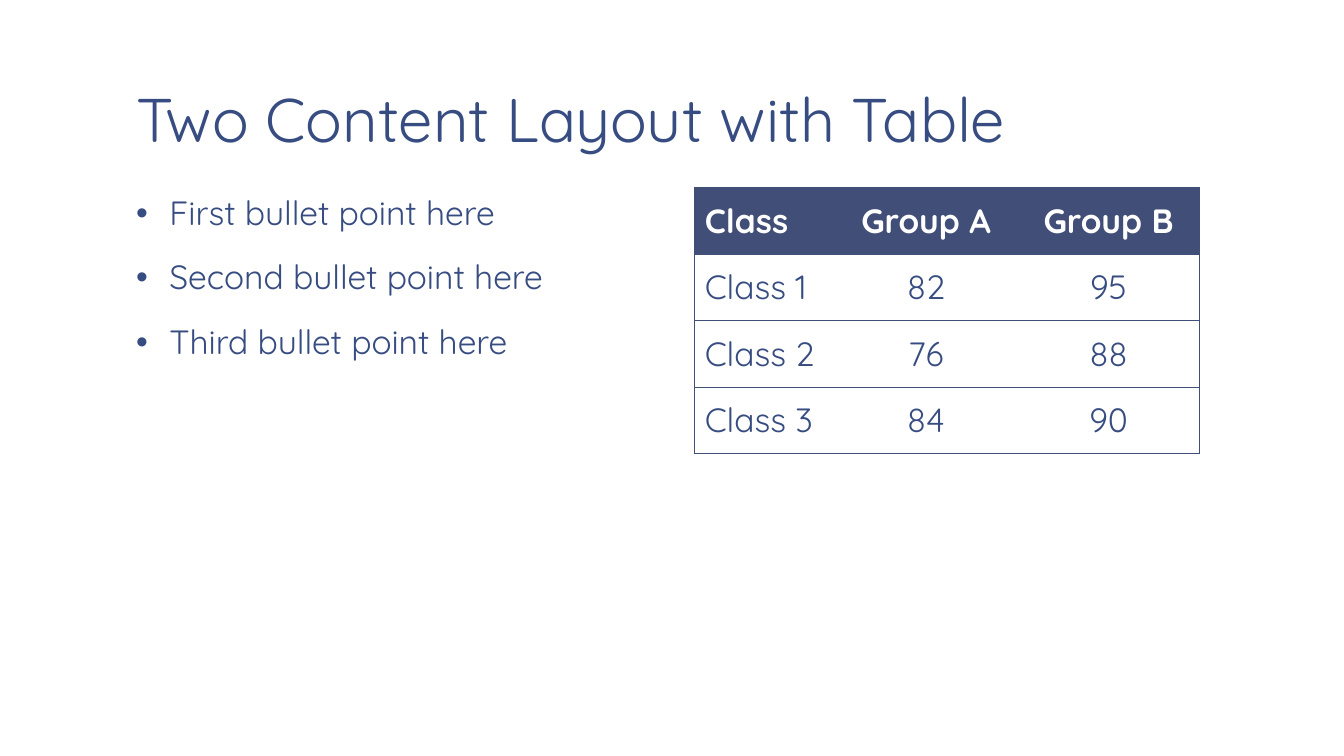
from lxml import etree
from pptx import Presentation
from pptx.dml.color import RGBColor
from pptx.enum.text import MSO_ANCHOR, PP_ALIGN
from pptx.oxml.ns import qn
from pptx.util import Pt

TOP, MIDDLE, BOTTOM = MSO_ANCHOR.TOP, MSO_ANCHOR.MIDDLE, MSO_ANCHOR.BOTTOM
LEFT, CENTER = PP_ALIGN.LEFT, PP_ALIGN.CENTER
EMU_PER_PX = 9144
FONT = "Quicksand"
INK, HEADER, WHITE = "374C81", "414E77", "FFFFFF"


def px(length):
    """Turn px into EMU."""
    return length * EMU_PER_PX


def color(value):
    """Turn a hex string into a colour."""
    return RGBColor.from_string(value)


class SlideBuilder:
    """Holds the style and the current slide."""

    def __init__(self, presentation):
        """Add a blank white slide."""
        self.slide = presentation.slides.add_slide(presentation.slide_layouts[6])
        self.slide.background.fill.solid()
        self.slide.background.fill.fore_color.rgb = color(WHITE)

    def style(self, paragraph, size, ink=INK, bold=False):
        """Set the font of a paragraph."""
        font = paragraph.font
        font.name, font.size, font.bold = FONT, Pt(size), bold
        font.color.rgb = color(ink)

    def text(self, box, lines, size, line_spacing, anchor=TOP):
        """Add a text box and return its paragraphs."""
        frame = self.slide.shapes.add_textbox(*map(px, box)).text_frame
        frame.word_wrap = True
        frame.vertical_anchor = anchor
        frame.margin_left = frame.margin_right = px(13)
        frame.margin_top = frame.margin_bottom = px(7)
        frame.text = "\n".join(lines)
        for paragraph in frame.paragraphs:
            paragraph.line_spacing = line_spacing
            self.style(paragraph, size)
        return frame.paragraphs

    def bullets(self, box, lines, size):
        """Add a bulleted list."""
        for paragraph in self.text(box, lines, size, 0.95):
            paragraph.space_before = Pt(18.7)
            properties = paragraph._p.get_or_add_pPr()
            properties.set("marL", str(px(33)))
            properties.set("indent", str(px(-33)))
            font = etree.Element(qn("a:buFont"), typeface="Arial")
            bullet = etree.Element(qn("a:buChar"), char="•")
            position = properties.index(properties.find(qn("a:defRPr")))
            properties[position:position] = [font, bullet]

    def border(self, cell, side, visible):
        """Draw or hide one side of a cell."""
        line = etree.SubElement(cell._tc.get_or_add_tcPr(), qn(f"a:ln{side}"), w=str(Pt(0.5)))
        if visible:
            fill = etree.SubElement(line, qn("a:solidFill"))
            etree.SubElement(fill, qn("a:srgbClr"), val=HEADER)
        else:
            etree.SubElement(line, qn("a:noFill"))

    def table(self, left, top, widths, row_height, rows, size):
        """Add a table with a filled header and ruled rows."""
        box = (left, top, sum(widths), row_height * len(rows))
        table = self.slide.shapes.add_table(len(rows), len(widths), *map(px, box)).table
        table.horz_banding = False
        for column, width in zip(table.columns, widths):
            column.width = px(width)
        last = len(widths) - 1
        for row_index, values in enumerate(rows):
            table.rows[row_index].height = px(row_height)
            header = row_index == 0
            for column_index, value in enumerate(values):
                cell = table.cell(row_index, column_index)
                cell.text = value
                cell.vertical_anchor = MIDDLE
                paragraph = cell.text_frame.paragraphs[0]
                paragraph.alignment = CENTER if column_index else LEFT
                self.style(paragraph, size, WHITE if header else INK, header)
                self.border(cell, "L", column_index == 0)
                self.border(cell, "R", column_index == last)
                self.border(cell, "T", True)
                self.border(cell, "B", True)
                if header:
                    cell.fill.solid()
                    cell.fill.fore_color.rgb = color(HEADER)
                else:
                    cell.fill.background()


def main():
    """Build the slide and save it."""
    presentation = Presentation()
    presentation.slide_width, presentation.slide_height = px(1333), px(750)
    builder = SlideBuilder(presentation)
    builder.text((122, 8, 1111, 153), ["Two Content Layout with Table"], 44, 0.85, BOTTOM)
    ordinals = ("First", "Second", "Third")
    builder.bullets((122, 186, 544, 489), [f"{ordinal} bullet point here" for ordinal in ordinals], 24)
    scores = [
        ("Class", "Group A", "Group B"),
        ("Class 1", "82", "95"),
        ("Class 2", "76", "88"),
        ("Class 3", "84", "90"),
    ]
    builder.table(689, 186, (139, 181, 181), 66, scores, 24)
    presentation.save("out.pptx")


if __name__ == "__main__":
    main()
